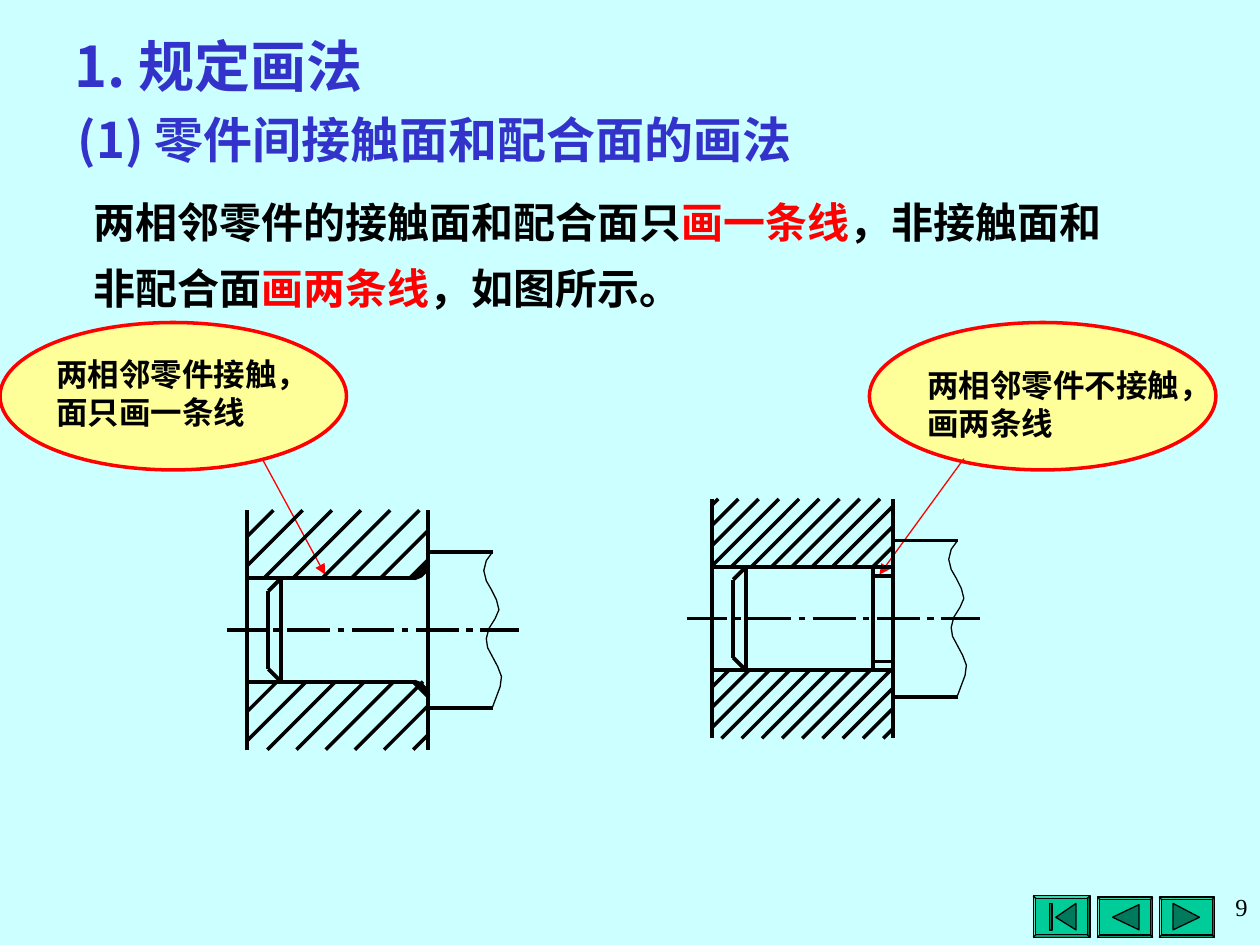
"""Build the slide on drawing contact surfaces and fitted surfaces."""
import dataclasses
import typing

import lxml.etree
import pptx
import pptx.dml.color
import pptx.enum.shapes
import pptx.enum.text
import pptx.oxml.ns
import pptx.util

Point = tuple[float, float]
Box = tuple[float, float, float, float]
Shapes = typing.Any
qn = pptx.oxml.ns.qn
Preset = pptx.enum.shapes.MSO_SHAPE
Align = pptx.enum.text.PP_ALIGN
Anchor = pptx.enum.text.MSO_ANCHOR


@dataclasses.dataclass(frozen=True)
class Theme:
    background: str = "CCFFFF"
    heading: str = "3333CC"
    ink: str = "000000"
    accent: str = "FF0000"
    bubble: str = "FFFF99"
    button: str = "00CC99"
    icon: str = "007A5C"
    latin: str = "Times New Roman"
    chinese: str = "Noto Sans CJK SC"
    title_size: int = 32
    subtitle_size: int = 28
    body_size: int = 24
    callout_size: int = 18
    number_size: int = 14
    thick: float = 2.25
    outline: float = 2
    thin: float = 0.75
    hairline: float = 0


@dataclasses.dataclass(frozen=True)
class Callout:
    left: float
    text: str
    text_at: Point
    arrow: tuple[Point, Point]


@dataclasses.dataclass(frozen=True)
class Section:
    origin: Point
    hatch_first: float
    hatch_last: float
    hatch_count: int
    axis_start: float
    dash_start: float
    grooved: bool


@dataclasses.dataclass(frozen=True)
class Button:
    box: Box
    icons: tuple[tuple[Point, ...], ...]


THEME = Theme()
PLATE_WIDTH, PLATE_HEIGHT = 1.44, 1.9
BORE_TOP, BORE_BOTTOM = 0.54, 1.36
SHAFT_END, SHAFT_TOP, AXIS = 1.95, 0.33, 0.95
BREAK_CURVE = (
    (0, 0), (-0.05, 0.07), (-0.07, 0.15), (-0.05, 0.23), (-0.01, 0.3), (0.03, 0.38),
    (0.05, 0.46), (0.02, 0.53), (-0.03, 0.61), (-0.05, 0.69), (-0.04, 0.76),
    (0.04, 0.91), (0.07, 0.99), (0.06, 1.07), (0, 1.23),
)
FILLET = ((1.33, 0.54), (1.38, 0.52), (1.42, 0.48), (1.44, 0.43))
CALLOUTS = (
    Callout(6.9, "两相邻零件不接触，画两条线", (7.26, 2.86), ((7.65, 3.64), (6.98, 4.56))),
    Callout(0, "两相邻零件接触，面只画一条线", (0.35, 2.77), ((2.08, 3.64), (2.58, 4.56))),
)
SECTIONS = (
    Section((1.96, 4.05), 6.22, 9.23, 14, -0.16, -0.19, False),
    Section((5.65, 3.96), 9.66, 12.87, 21, -0.2, -0.22, True),
)
BUTTONS = (
    Button((9.2, 7.12, 0.44, 0.32), (((9.31, 7.17), (9.52, 7.28), (9.31, 7.38)),)),
    Button((8.71, 7.12, 0.44, 0.32), (((8.83, 7.28), (9.04, 7.18), (9.04, 7.38)),)),
    Button((8.2, 7.11, 0.45, 0.33), (
        ((8.38, 7.28), (8.54, 7.17), (8.54, 7.38)),
        ((8.33, 7.17), (8.35, 7.17), (8.35, 7.38), (8.33, 7.38)),
    )),
)


def length(inches: float) -> int:
    """Convert inches to a length given in centimetres."""
    return pptx.util.Cm(inches * 2.54)


def color(value: str) -> pptx.dml.color.RGBColor:
    """Return the colour for a hex value."""
    return pptx.dml.color.RGBColor.from_string(value)


def place(shape: typing.Any, box: Box) -> None:
    """Move and size a shape."""
    shape.left, shape.top, shape.width, shape.height = map(length, box)


def write_text(frame: typing.Any, *spans: tuple[str, str], size: float, latin: str = THEME.latin,
               bold: bool = True, align: Align = Align.LEFT, anchor: Anchor = Anchor.TOP,
               spacing: float = 1.0) -> None:
    """Fill a text frame with one paragraph of coloured spans."""
    frame.word_wrap = True
    frame.auto_size = pptx.enum.text.MSO_AUTO_SIZE.NONE
    frame.vertical_anchor = anchor
    para = frame.paragraphs[0]
    properties = para._p.get_or_add_pPr()
    properties.set("marL", "0")
    properties.set("indent", "0")
    lxml.etree.SubElement(properties, qn("a:buNone"))
    para.alignment, para.line_spacing = align, spacing
    para.space_before = pptx.util.Pt(0)
    for text, ink in spans:
        span = para.add_run()
        span.text = text
        span.font.size, span.font.bold = pptx.util.Pt(size), bold
        span.font.color.rgb = color(ink)
        span.font.name = latin
        lxml.etree.SubElement(span._r.rPr, qn("a:ea"), typeface=THEME.chinese)


def add_text(shapes: Shapes, box: Box, text: str, ink: str = THEME.ink, **style: typing.Any) -> None:
    """Add a text box with one span."""
    write_text(shapes.add_textbox(*map(length, box)).text_frame, (text, ink), **style)


def format_shape(shape: typing.Any, fill: str | None, line: str, width: float) -> None:
    """Set the fill and outline of a shape and drop its shadow."""
    shape.shadow.inherit = False
    if fill:
        shape.fill.solid()
        shape.fill.fore_color.rgb = color(fill)
    else:
        shape.fill.background()
    shape.line.color.rgb = color(line)
    shape.line.width = pptx.util.Pt(width)


def add_line(shapes: Shapes, start: Point, end: Point, width: float = THEME.thick,
             ink: str = THEME.ink, arrow: bool = False) -> None:
    """Draw a straight line, with an arrowhead at its end if asked."""
    line = shapes.add_connector(pptx.enum.shapes.MSO_CONNECTOR.STRAIGHT, *map(length, start + end))
    line.line.color.rgb = color(ink)
    line.line.width = pptx.util.Pt(width)
    properties = line.element.spPr
    if arrow:
        lxml.etree.SubElement(properties.find(qn("a:ln")), qn("a:tailEnd"), type="triangle")
    lxml.etree.SubElement(properties, qn("a:effectLst"))


def add_outline(shapes: Shapes, points: typing.Sequence[Point], width: float,
                fill: str | None = None) -> None:
    """Draw a polyline, closed when it has a fill."""
    corners = [(length(x), length(y)) for x, y in points]
    builder = shapes.build_freeform(*corners[0])
    builder.add_line_segments(corners[1:], close=fill is not None)
    format_shape(builder.convert_to_shape(), fill, THEME.ink, width)


def add_callout(page: typing.Any, callout: Callout) -> None:
    """Draw a bubble with its arrow and text."""
    shapes = page.shapes.add_group_shape().shapes
    bubble = shapes.add_shape(Preset.OVAL, *map(length, (callout.left, 2.56, 2.75, 1.17)))
    format_shape(bubble, THEME.bubble, THEME.accent, THEME.outline)
    add_line(shapes, *callout.arrow, width=THEME.thin, ink=THEME.accent, arrow=True)
    add_text(shapes, callout.text_at + (2.33, 0.7), callout.text, size=THEME.callout_size)


def add_hatching(shapes: Shapes, section: Section) -> None:
    """Hatch the plate above and below the bore with one family of diagonals."""
    left, top = section.origin
    right = left + PLATE_WIDTH
    step = (section.hatch_last - section.hatch_first) / (section.hatch_count - 1)
    for high, low in ((top, top + BORE_TOP), (top + BORE_BOTTOM, top + PLATE_HEIGHT)):
        for index in range(section.hatch_count):
            total = section.hatch_first + index * step
            start, end = max(left, total - low), min(right, total - high)
            if start < end:
                add_line(shapes, (start, total - start), (end, total - end), THEME.hairline)


def add_section(page: typing.Any, section: Section) -> None:
    """Draw a pin seated in a sectioned plate."""
    shapes = page.shapes.add_group_shape().shapes
    left, top = section.origin

    def at(x: float, y: float) -> Point:
        return left + x, top + y

    add_hatching(shapes, section)
    strokes = [((x, 0), (x, PLATE_HEIGHT)) for x in (0, PLATE_WIDTH)]
    strokes += [((0.17, 0.64), (0.17, 1.26)), ((0.27, BORE_TOP), (0.27, BORE_BOTTOM))]
    halves = [((0, BORE_TOP), (PLATE_WIDTH if section.grooved else 1.33, BORE_TOP)),
              ((PLATE_WIDTH, SHAFT_TOP), (SHAFT_END, SHAFT_TOP)),
              ((0.27, BORE_TOP), (0.17, 0.64))]
    if section.grooved:
        strokes.append(((1.28, BORE_TOP), (1.28, BORE_BOTTOM)))
        halves.append(((1.28, 0.61), (PLATE_WIDTH, 0.61)))
    else:
        halves.append(((PLATE_WIDTH, 0.42), (1.32, BORE_TOP)))
        for curve in (FILLET, [(x, PLATE_HEIGHT - y) for x, y in FILLET]):
            add_outline(shapes, [at(x, y) for x, y in curve], THEME.thick)
    strokes += halves
    strokes += [tuple((x, PLATE_HEIGHT - y) for x, y in half) for half in halves]
    for start, end in strokes:
        add_line(shapes, at(*start), at(*end))
    axis_end = section.dash_start + 2.35
    for index in range(5):
        dash = section.dash_start + 0.51 * index
        add_line(shapes, at(max(dash, section.axis_start), AXIS),
                 at(min(dash + 0.34, axis_end), AXIS), THEME.hairline)
        if index < 4:
            add_line(shapes, at(dash + 0.4, AXIS), at(dash + 0.45, AXIS), THEME.hairline)
    add_outline(shapes, [at(SHAFT_END + x, SHAFT_TOP + y) for x, y in BREAK_CURVE], THEME.hairline)


def add_button(page: typing.Any, button: Button) -> None:
    """Draw a bevelled navigation button with its icon."""
    shapes = page.shapes.add_group_shape().shapes
    bevel = shapes.add_shape(Preset.BEVEL, *map(length, button.box))
    bevel.adjustments[0] = 0.06
    format_shape(bevel, THEME.button, THEME.ink, THEME.thin)
    for icon in button.icons:
        add_outline(shapes, icon, THEME.thin, THEME.icon)


def main() -> None:
    """Build and save the deck."""
    deck = pptx.Presentation()
    deck.slide_width, deck.slide_height = length(10), length(7.5)
    page = deck.slides.add_slide(deck.slide_layouts[1])
    page.background.fill.solid()
    page.background.fill.fore_color.rgb = color(THEME.background)
    for button in BUTTONS:
        add_button(page, button)
    title, body = page.shapes.title, page.placeholders[1]
    place(title, (0.49, 0.23, 3.44, 0.57))
    write_text(title.text_frame, ("1. 规定画法", THEME.heading), size=THEME.title_size,
               latin=THEME.chinese, anchor=Anchor.MIDDLE)
    place(body, (0.64, 1.39, 8.51, 1.14))
    write_text(body.text_frame, ("两相邻零件的接触面和配合面只", THEME.ink), ("画一条线", THEME.accent),
               ("，非接触面和非配合面", THEME.ink), ("画两条线", THEME.accent),
               ("，如图所示。", THEME.ink), size=THEME.body_size, spacing=1.3)
    for callout in CALLOUTS:
        add_callout(page, callout)
    add_text(page.shapes, (0.52, 0.82, 6.46, 0.57), "(1) 零件间接触面和配合面的画法", THEME.heading,
             size=THEME.subtitle_size, latin=THEME.chinese)
    for section in SECTIONS:
        add_section(page, section)
    add_text(page.shapes, (7.48, 7.03, 2.52, 0.47), "9", size=THEME.number_size, bold=False,
             align=Align.RIGHT)
    deck.save("out.pptx")


if __name__ == "__main__":
    main()
